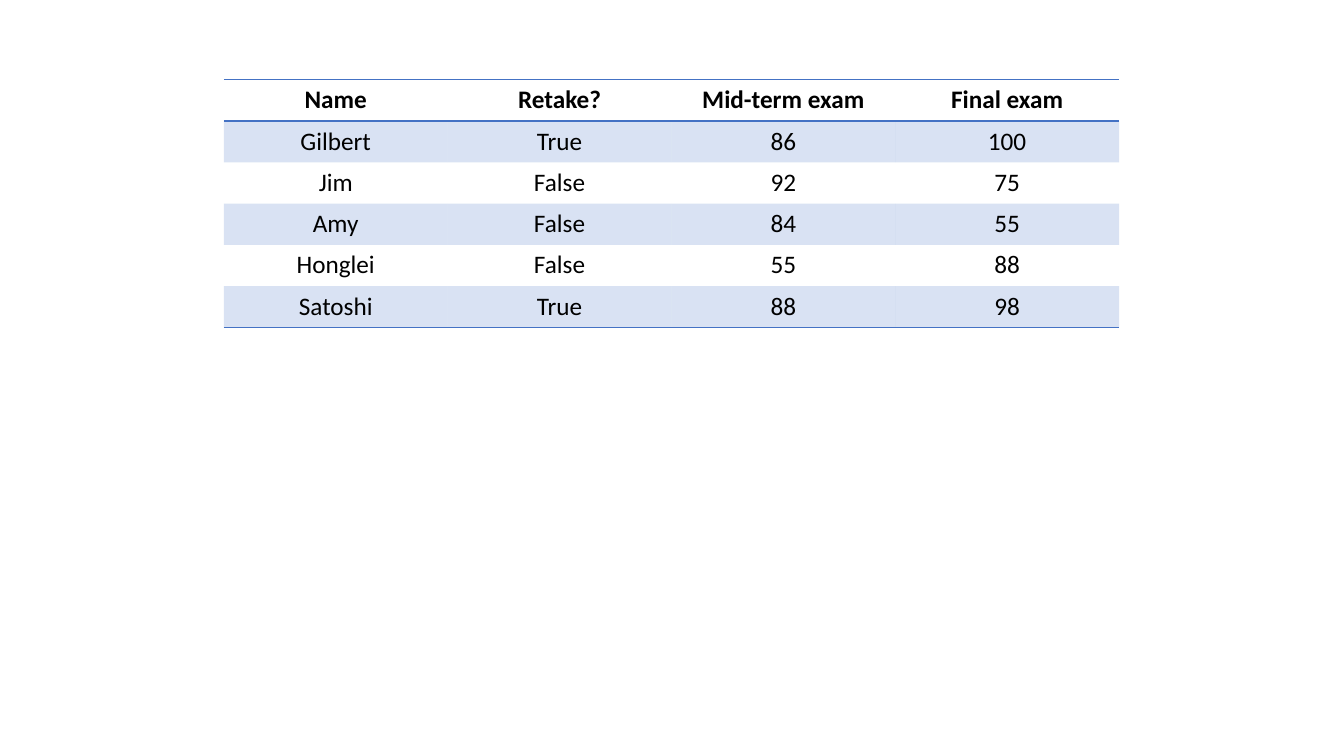
from lxml import etree
from pptx import Presentation
from pptx.dml.color import RGBColor
from pptx.enum.text import MSO_ANCHOR, PP_ALIGN
from pptx.oxml.ns import qn
from pptx.util import Inches, Pt

CENTER = PP_ALIGN.CENTER
TOP = MSO_ANCHOR.TOP
BLANK_LAYOUT = 6
FONT = "Calibri"
BLUE = "4472C4"
BLACK = "000000"
COLUMN_WIDTH = 2.22
ROW_HEIGHT = 0.41
EXAM_RESULTS = [
    ("Name", "Retake?", "Mid-term exam", "Final exam"),
    ("Gilbert", "True", "86", "100"),
    ("Jim", "False", "92", "75"),
    ("Amy", "False", "84", "55"),
    ("Honglei", "False", "55", "88"),
    ("Satoshi", "True", "88", "98"),
]


def color(hex_code):
    """Turn a hex string into a colour."""
    return RGBColor.from_string(hex_code)


def write_text(text_frame, text, size=18, bold=False, font_color=BLACK, align=CENTER):
    """Write one formatted paragraph into a text frame."""
    paragraph = text_frame.paragraphs[0]
    paragraph.alignment = align
    run = paragraph.add_run()
    run.text = text
    run.font.name = FONT
    run.font.size = Pt(size)
    run.font.bold = bold
    run.font.color.rgb = color(font_color)


def fill_cell(cell, hex_code=None, opacity=100):
    """Fill a cell with a colour of the given opacity, or leave it clear."""
    if hex_code is None:
        cell.fill.background()
        return
    cell.fill.solid()
    cell.fill.fore_color.rgb = color(hex_code)
    color_element = cell._tc.tcPr.find(qn("a:solidFill"))[0]
    etree.SubElement(color_element, qn("a:alpha"), val=str(opacity * 1000))


def set_borders(cell, ruled_sides, hex_code=BLUE, width=1):
    """Rule the named sides of a cell and clear its other sides."""
    properties = cell._tc.get_or_add_tcPr()
    for position, side in enumerate("LRTB"):
        line = etree.Element(qn(f"a:ln{side}"), w=str(Pt(width)))
        if side in ruled_sides:
            fill = etree.SubElement(line, qn("a:solidFill"))
            etree.SubElement(fill, qn("a:srgbClr"), val=hex_code)
        else:
            etree.SubElement(line, qn("a:noFill"))
        properties.insert(position, line)


def add_results_table(slide, rows, left, top):
    """Add a banded table with rules around its header and at its foot."""
    row_count, column_count = len(rows), len(rows[0])
    table = slide.shapes.add_table(
        row_count, column_count, Inches(left), Inches(top),
        Inches(COLUMN_WIDTH * column_count), Inches(ROW_HEIGHT * row_count),
    ).table
    table.horz_banding = False
    for column in table.columns:
        column.width = Inches(COLUMN_WIDTH)
    for row_index, values in enumerate(rows):
        table.rows[row_index].height = Inches(ROW_HEIGHT)
        ruled_sides = "T" if row_index in (0, 1) else ""
        if row_index in (0, row_count - 1):
            ruled_sides += "B"
        band = BLUE if row_index % 2 else None
        for column_index, value in enumerate(values):
            cell = table.cell(row_index, column_index)
            cell.vertical_anchor = TOP
            write_text(cell.text_frame, value, bold=row_index == 0)
            fill_cell(cell, band, opacity=20)
            set_borders(cell, ruled_sides)


def main():
    """Build the slide and save it."""
    presentation = Presentation()
    presentation.slide_width = Inches(13.33)
    presentation.slide_height = Inches(7.5)
    slide = presentation.slides.add_slide(presentation.slide_layouts[BLANK_LAYOUT])
    add_results_table(slide, EXAM_RESULTS, 2.22, 0.79)
    presentation.save("out.pptx")


if __name__ == "__main__":
    main()
